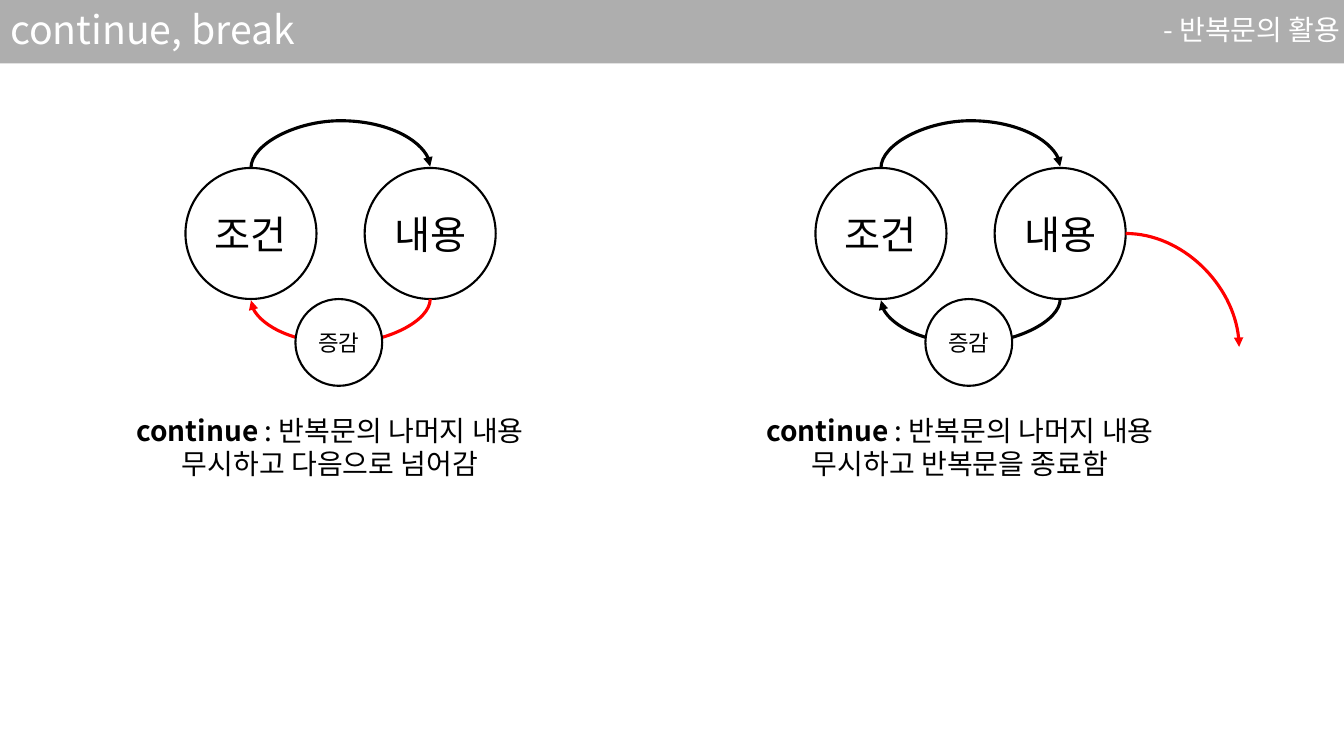
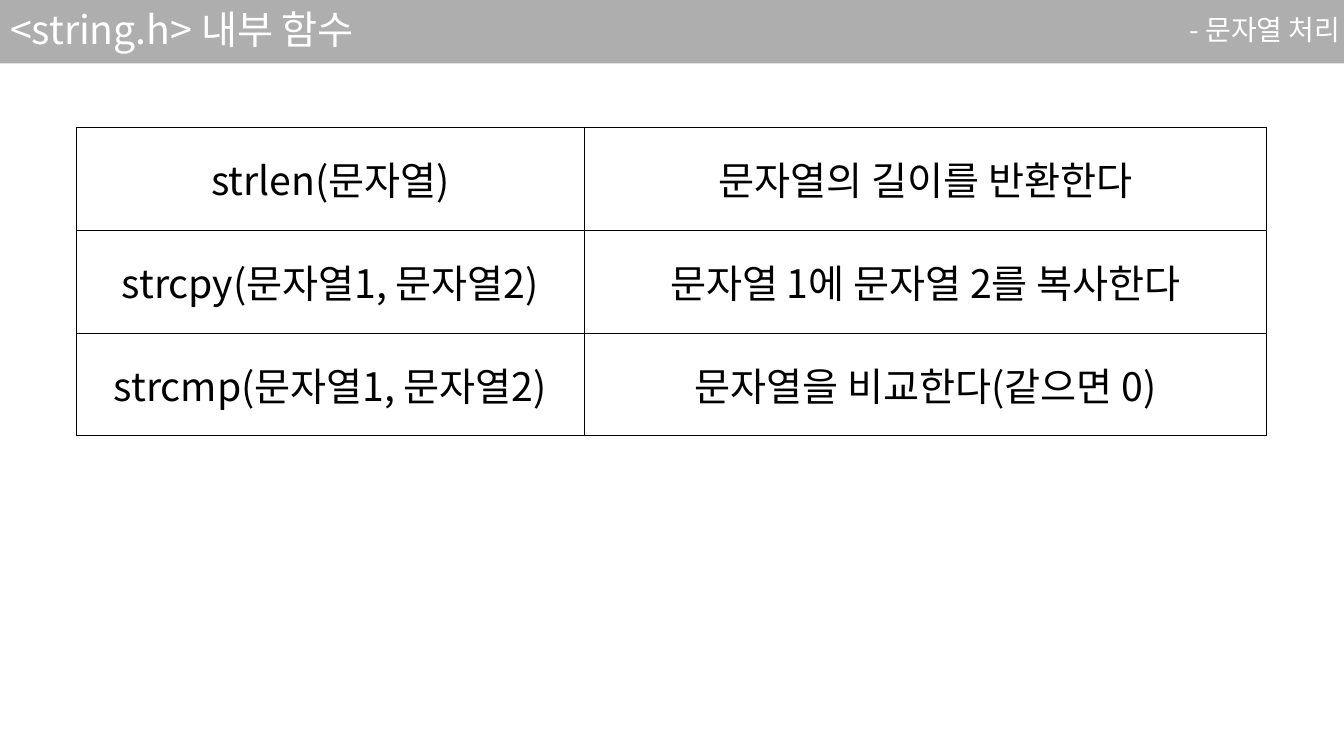
from pptx import Presentation
from pptx.dml.color import RGBColor
from pptx.enum.shapes import MSO_CONNECTOR, MSO_SHAPE
from pptx.enum.text import MSO_ANCHOR, MSO_AUTO_SIZE, PP_ALIGN
from pptx.oxml.ns import qn
from pptx.util import Pt
from lxml.etree import SubElement

FONT = "Noto Sans CJK KR"
BLACK, WHITE, RED, BAND = "000000", "FFFFFF", "FF0000", "181717"
SLIDE_WIDTH, SLIDE_HEIGHT, BAND_HEIGHT = 960, 540, 45.36
TITLE_BOX = (0, 3.6, 529, 38)
TOPIC_BOX = (574, 8, 386, 29.5)
CIRCLE, STEP, SMALL_CIRCLE = 93.6, 128, 62


def rgb(value):
    """Turn a hex string into a colour."""
    return RGBColor.from_string(value)


def place(shape, box):
    """Move and size a shape to a box in points."""
    shape.left, shape.top, shape.width, shape.height = (Pt(length) for length in box)


def add_run(paragraph, text, size, color=BLACK, bold=False):
    """Add one run of text in the shared font."""
    run = paragraph.add_run()
    run.text = text
    run.font.size = Pt(size)
    run.font.bold = bold
    run.font.name = FONT
    run.font.color.rgb = rgb(color)
    SubElement(run.font._element, qn("a:ea"), typeface=FONT)


def prepare_frame(frame):
    """Set wrapping and middle anchoring of a text frame."""
    frame.word_wrap = True
    frame.auto_size = MSO_AUTO_SIZE.NONE
    frame.vertical_anchor = MSO_ANCHOR.MIDDLE


def add_band(slide):
    """Draw the translucent title band and move it to the layout."""
    band = slide.shapes.add_shape(
        MSO_SHAPE.RECTANGLE, 0, 0, Pt(SLIDE_WIDTH), Pt(BAND_HEIGHT))
    band.shadow.inherit = False
    band.fill.solid()
    band.fill.fore_color.rgb = rgb(BAND)
    band.line.fill.background()
    color = band.element.spPr.find(qn("a:solidFill")).find(qn("a:srgbClr"))
    SubElement(color, qn("a:alpha"), val="35000")
    slide.slide_layout.shapes.element.insert(2, band.element)


def add_header(slide, title, topic):
    """Fill the title on the left and the topic on the right."""
    title_shape = slide.shapes.title
    place(title_shape, TITLE_BOX)
    topic_shape = slide.shapes.add_textbox(0, 0, 0, 0)
    place(topic_shape, TOPIC_BOX)
    topic_shape.text_frame.margin_right = Pt(2.4)
    for shape, text, size, alignment in (
            (title_shape, title, 28, PP_ALIGN.LEFT),
            (topic_shape, topic, 20, PP_ALIGN.RIGHT)):
        prepare_frame(shape.text_frame)
        paragraph = shape.text_frame.paragraphs[0]
        paragraph.alignment = alignment
        paragraph.line_spacing = 0.9
        add_run(paragraph, text, size, WHITE)


def add_circle(slide, left, top, diameter, text, size):
    """Draw an outlined circle with a centred label."""
    circle = slide.shapes.add_shape(MSO_SHAPE.OVAL, 0, 0, 0, 0)
    place(circle, (left, top, diameter, diameter))
    circle.shadow.inherit = False
    circle.fill.solid()
    circle.fill.fore_color.rgb = rgb(WHITE)
    circle.line.color.rgb = rgb(BLACK)
    circle.line.width = Pt(1.5)
    frame = circle.text_frame
    prepare_frame(frame)
    frame.margin_left = frame.margin_right = 0
    frame.paragraphs[0].alignment = PP_ALIGN.CENTER
    add_run(frame.paragraphs[0], text, size)


def add_curve(slide, box, color):
    """Draw a curved connector with an arrowhead at its end."""
    left, top, width, height = box
    curve = slide.shapes.add_connector(
        MSO_CONNECTOR.CURVE, Pt(left), Pt(top), Pt(left + width), Pt(top + height))
    curve.line.color.rgb = rgb(color)
    curve.line.width = Pt(2.25)
    properties = curve.element.spPr
    SubElement(properties.find(qn("a:ln")), qn("a:tailEnd"), type="triangle")
    SubElement(properties, qn("a:effectLst"))
    return properties


def add_arch(slide, center_x, y, rise, color, upward):
    """Draw an arch between the circle centres, above or below them."""
    properties = add_curve(slide, (center_x - 0.5, y - STEP / 2, 1, STEP), color)
    transform = properties.find(qn("a:xfrm"))
    transform.set("rot", "5400000")
    if upward:
        transform.set("flipH", "1")
        transform.set("flipV", "1")
    adjustments = properties.find(qn("a:prstGeom")).find(qn("a:avLst"))
    SubElement(adjustments, qn("a:gd"), name="adj1", fmla=f"val {rise * 100000}")


def add_exit(slide, left, top):
    """Draw the arrow that leaves the loop."""
    properties = add_curve(slide, (left, top, 81, 81), RED)
    properties.find(qn("a:prstGeom")).set("prst", "curvedConnector2")


def add_loop(slide, left, top, return_color, result):
    """Draw a loop of three circles with its caption."""
    center_x = left + (STEP + CIRCLE) / 2
    bottom = top + CIRCLE
    for index, text in enumerate(("조건", "내용")):
        add_circle(slide, left + index * STEP, top, CIRCLE, text, 28)
    add_arch(slide, center_x, top - 0.5, 34, BLACK, True)
    add_arch(slide, center_x, bottom + 0.5, 32, return_color, False)
    add_circle(slide, left + 78.5, bottom, SMALL_CIRCLE, "증감", 16)
    caption = slide.shapes.add_textbox(0, 0, 0, 0)
    place(caption, (left - 42.5, bottom + 78, 291.6, 55.4))
    frame = caption.text_frame
    prepare_frame(frame)
    first, second = frame.paragraphs[0], frame.add_paragraph()
    first.alignment = second.alignment = PP_ALIGN.CENTER
    add_run(first, "continue", 20, bold=True)
    add_run(first, " : 반복문의 나머지 내용", 20)
    add_run(second, result, 20)


def format_cell(cell, text):
    """Fill, border and label one table cell."""
    cell.margin_left = cell.margin_right = Pt(10)
    cell.margin_top = cell.margin_bottom = Pt(5)
    cell.vertical_anchor = MSO_ANCHOR.MIDDLE
    properties = cell._tc.get_or_add_tcPr()
    for side in ("L", "R", "T", "B"):
        border = SubElement(properties, qn(f"a:ln{side}"), w=str(Pt(0.5)))
        fill = SubElement(border, qn("a:solidFill"))
        SubElement(fill, qn("a:srgbClr"), val=BLACK)
    cell.fill.solid()
    cell.fill.fore_color.rgb = rgb(WHITE)
    paragraph = cell.text_frame.paragraphs[0]
    paragraph.alignment = PP_ALIGN.CENTER
    add_run(paragraph, text, 28)


def add_function_table(slide, left, top, widths, row_height, rows):
    """Build the table of functions and their meanings."""
    table = slide.shapes.add_table(
        len(rows), len(widths), Pt(left), Pt(top),
        Pt(sum(widths)), Pt(row_height * len(rows))).table
    table.first_row = table.horz_banding = False
    for column, width in zip(table.columns, widths):
        column.width = Pt(width)
    for row, texts in zip(table.rows, rows):
        row.height = Pt(row_height)
        for cell, text in zip(row.cells, texts):
            format_cell(cell, text)


def build_loop_slide(slide):
    """Compare the two ways of leaving a loop pass."""
    add_header(slide, "continue, break", "- 반복문의 활용")
    left, top, offset = 132.5, 120, 450
    add_loop(slide, left, top, RED, "무시하고 다음으로 넘어감")
    add_loop(slide, left + offset, top, BLACK, "무시하고 반복문을 종료함")
    add_exit(slide, left + offset + STEP + CIRCLE, top + CIRCLE / 2)


def build_string_slide(slide):
    """List the string functions."""
    add_header(slide, "<string.h> 내부 함수", "- 문자열 처리")
    add_function_table(slide, 54.8, 90.8, (362.4, 487.6), 73.5, (
        ("strlen(문자열)", "문자열의 길이를 반환한다"),
        ("strcpy(문자열1, 문자열2)", "문자열 1에 문자열 2를 복사한다"),
        ("strcmp(문자열1, 문자열2)", "문자열을 비교한다(같으면 0)"),
    ))


def main():
    """Build and save the presentation."""
    presentation = Presentation()
    presentation.slide_width = Pt(SLIDE_WIDTH)
    presentation.slide_height = Pt(SLIDE_HEIGHT)
    layout = presentation.slide_layouts.get_by_name("Title Only")
    slides = [presentation.slides.add_slide(layout) for _ in range(2)]
    add_band(slides[0])
    build_loop_slide(slides[0])
    build_string_slide(slides[1])
    presentation.save("out.pptx")


if __name__ == "__main__":
    main()
